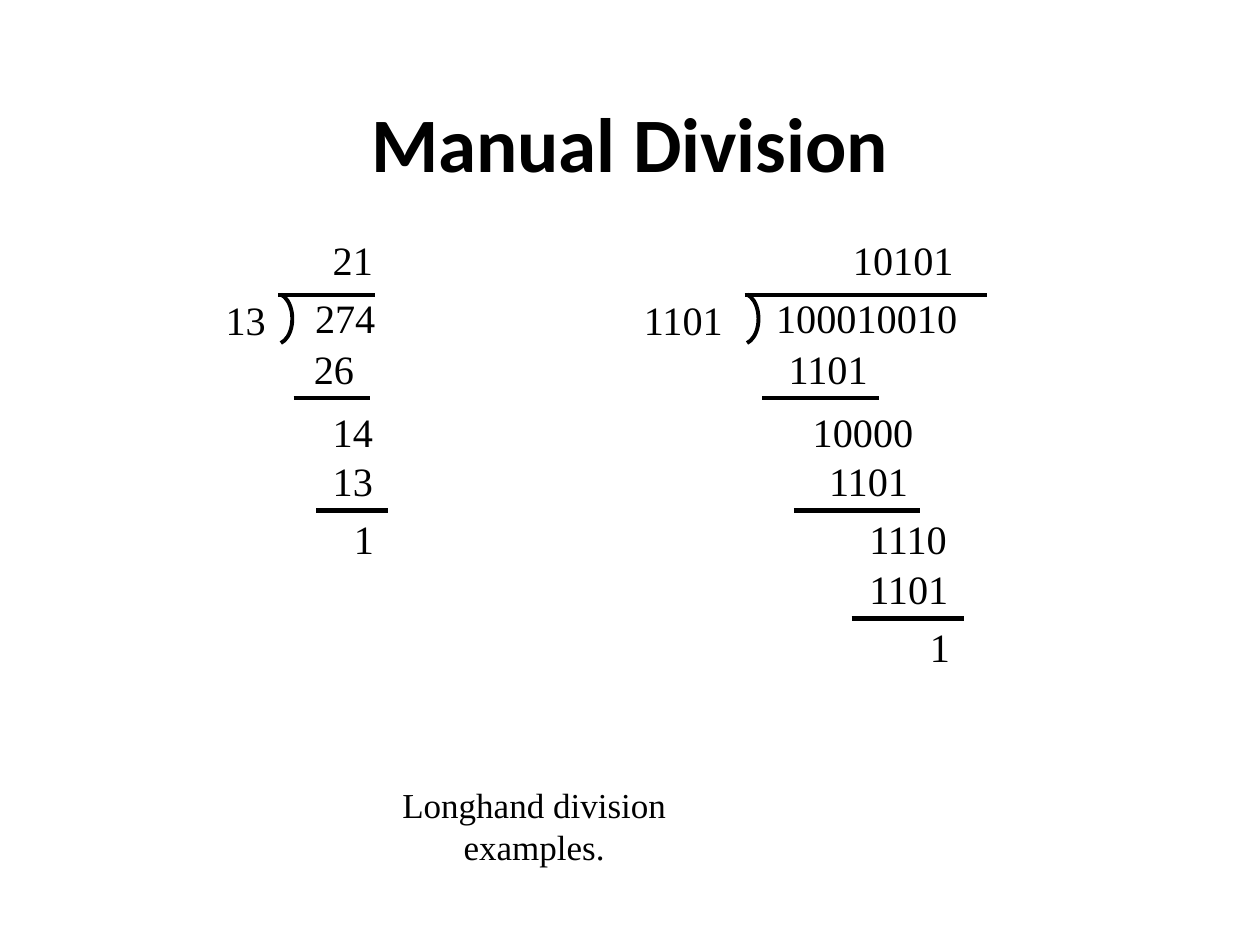
from lxml import etree
from pptx import Presentation
from pptx.dml.color import RGBColor
from pptx.enum.shapes import MSO_CONNECTOR, MSO_SHAPE
from pptx.enum.text import MSO_ANCHOR, PP_ALIGN
from pptx.oxml.ns import qn
from pptx.util import Inches, Pt

STRAIGHT = MSO_CONNECTOR.STRAIGHT
ARC = MSO_SHAPE.ARC
MIDDLE = MSO_ANCHOR.MIDDLE
LEFT, CENTER = PP_ALIGN.LEFT, PP_ALIGN.CENTER

COLORS = {"ink": "000000"}
SERIF, SANS = "Times New Roman", "Calibri"
DIGIT_W, LINE_H = 0.16, 0.38

# Vertical offsets shared by both worked examples
ROW_TOPS = [0, 0.46, 0.86, 1.36, 1.75, 2.21, 2.61, 3.07]
RULE_TOPS = [0.47, 1.29, 2.18, 3.04]

# Each row is (left offset, digits); each rule is (start, end)
DECIMAL = {
    "divisor": (0, "13"),
    "rows": [(0.85, "21"), (0.71, "274"), (0.7, "26"),
             (0.85, "14"), (0.85, "13"), (1.02, "1")],
    "rules": [(0.42, 1.19), (0.54, 1.15), (0.72, 1.29)],
}
BINARY = {
    "divisor": (0.16, "1101"),
    "rows": [(1.82, "10101"), (1.21, "100010010"), (1.31, "1101"),
             (1.5, "10000"), (1.63, "1101"), (1.95, "1110"),
             (1.95, "1101"), (2.43, "1")],
    "rules": [(0.96, 2.88), (1.1, 2.03), (1.35, 2.35), (1.81, 2.7)],
}


def ink():
    return RGBColor.from_string(COLORS["ink"])


def style_paragraph(p, size, font, align, bold=False):
    p.alignment = align
    for r in p.runs:
        r.font.size = Pt(size)
        r.font.name = font
        r.font.bold = bold
        r.font.color.rgb = ink()


def add_text(slide, text, left, top, width, height, size=23, align=LEFT):
    box = slide.shapes.add_textbox(Inches(left), Inches(top),
                                   Inches(width), Inches(height))
    tf = box.text_frame
    tf.margin_left = tf.margin_right = tf.margin_top = tf.margin_bottom = 0
    tf.word_wrap = False
    tf.text = text
    style_paragraph(tf.paragraphs[0], size, SERIF, align)


def add_rule(slide, start, end, y):
    line = slide.shapes.add_connector(STRAIGHT, Inches(start), Inches(y),
                                      Inches(end), Inches(y))
    line.line.color.rgb = ink()
    line.line.width = Pt(2.64)
    etree.SubElement(line._element.spPr, qn("a:effectLst"))


def add_bracket(slide, left, top):
    sp = slide.shapes.add_shape(ARC, Inches(left), Inches(top),
                                Inches(0.25), Inches(0.4))
    # Right-hand half of the ellipse, from 280 to 80 degrees
    sp.adjustments[0], sp.adjustments[1] = 168, 48
    sp.shadow.inherit = False
    sp.fill.background()
    sp.line.color.rgb = ink()
    sp.line.width = Pt(2.25)


def add_title(slide, text, left, top, width, height):
    title = slide.shapes.title
    title.left, title.top = Inches(left), Inches(top)
    title.width, title.height = Inches(width), Inches(height)
    tf = title.text_frame
    tf.text = text
    tf.vertical_anchor = MIDDLE
    style_paragraph(tf.paragraphs[0], 44, SANS, CENTER, bold=True)


def add_division(slide, example, left, top):
    # Quotient, dividend and the subtraction steps
    for (dx, digits), dy in zip(example["rows"], ROW_TOPS):
        add_text(slide, digits, left + dx, top + dy,
                 DIGIT_W * len(digits), LINE_H)

    # Divisor and bracket
    dx, digits = example["divisor"]
    add_text(slide, digits, left + dx, top + ROW_TOPS[1] + 0.01,
             DIGIT_W * len(digits), LINE_H)
    bar_start = example["rules"][0][0]
    add_bracket(slide, left + bar_start - 0.14, top + 0.46)

    # Division bar and subtraction rules
    for (start, end), dy in zip(example["rules"], RULE_TOPS):
        add_rule(slide, left + start, left + end, top + dy)


def main():
    prs = Presentation()
    prs.slide_width, prs.slide_height = Inches(10), Inches(7.5)
    slide = prs.slides.add_slide(prs.slide_layouts[5])

    add_title(slide, "Manual Division", 0.5, 0.5, 9, 1.25)
    add_division(slide, DECIMAL, 1.79, 1.87)
    add_division(slide, BINARY, 4.95, 1.87)
    add_text(slide, "Longhand division examples.", 2.6, 6.22, 3.28, 0.33,
             size=20, align=CENTER)

    prs.save("out.pptx")


if __name__ == "__main__":
    main()
